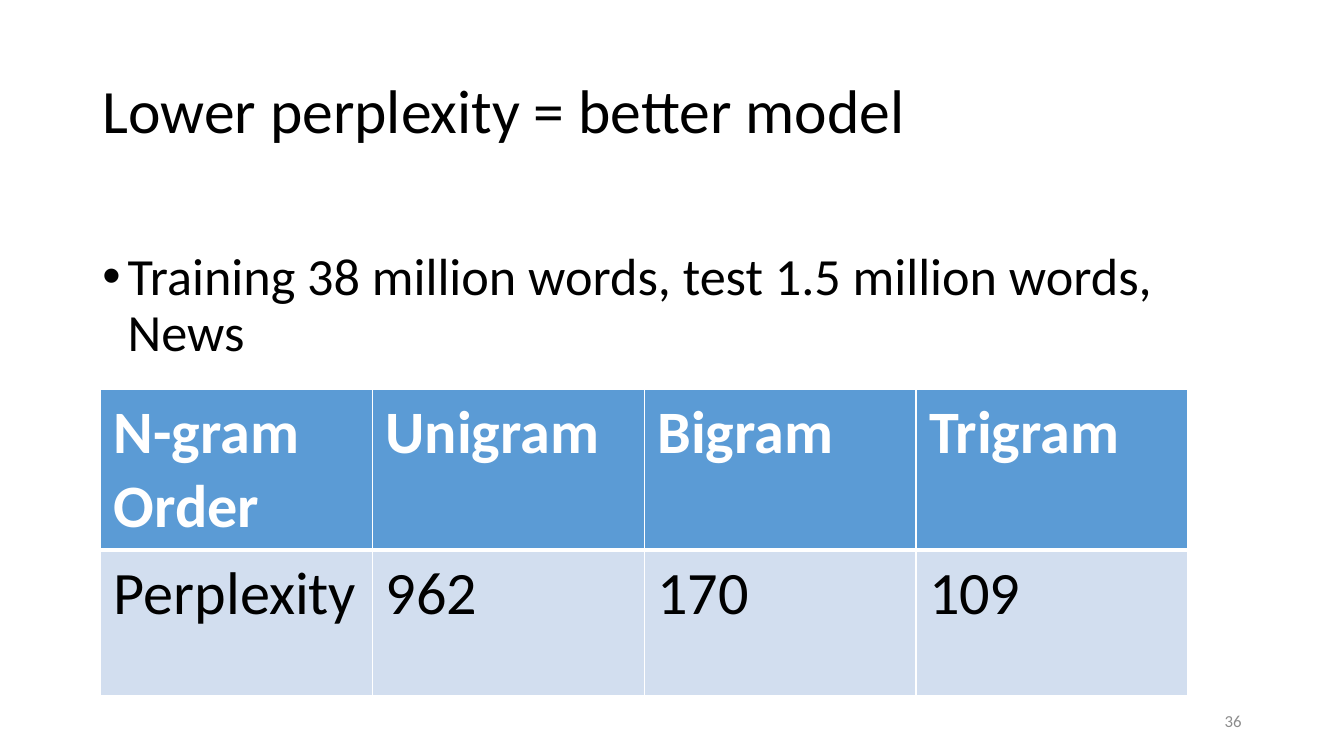
from dataclasses import dataclass

from lxml.etree import SubElement
from pptx import Presentation
from pptx.dml.color import RGBColor
from pptx.enum.text import MSO_ANCHOR, MSO_AUTO_SIZE, PP_ALIGN
from pptx.oxml.ns import qn
from pptx.util import Emu, Inches, Pt


@dataclass(frozen=True)
class Theme:
    font: str = "Calibri"
    ink: str = "000000"
    paper: str = "FFFFFF"
    muted: str = "8C8C8C"
    header: str = "5B9BD5"
    band: str = "D2DEEF"
    title_size: float = 44
    body_size: float = 37.3
    table_size: float = 43
    number_size: float = 12
    thin: float = 1
    thick: float = 3


def write(tf, text, *, theme, size, color, bold=False,
          align=PP_ALIGN.LEFT, spacing=1.0):
    """Put one formatted paragraph into a text frame."""
    tf.word_wrap = True
    p = tf.paragraphs[0]
    p.alignment, p.line_spacing, p.space_before = align, spacing, Pt(0)
    r = p.add_run()
    r.text = text
    r.font.name, r.font.size, r.font.bold = theme.font, Pt(size), bold
    r.font.color.rgb = RGBColor.from_string(color)
    return p


class Deck:
    """Holds the theme and the current slide; boxes are in grid units."""

    COLS, ROWS = 40, 30

    def __init__(self, theme):
        self.theme = theme
        self.prs = Presentation()
        self.prs.slide_width, self.prs.slide_height = Inches(13.33), Inches(7.5)
        self.s = self.prs.slides.add_slide(self.prs.slide_layouts[1])

    def box(self, left, top, width, height):
        col = self.prs.slide_width / self.COLS
        row = self.prs.slide_height / self.ROWS
        return [Emu(round(n)) for n in
                (left * col, top * row, width * col, height * row)]

    def placeholder(self, index, area, anchor):
        sp = self.s.placeholders[index]
        sp.left, sp.top, sp.width, sp.height = self.box(*area)
        sp.text_frame.auto_size = MSO_AUTO_SIZE.NONE
        sp.text_frame.vertical_anchor = anchor
        return sp.text_frame

    def title(self, text, area):
        t = self.theme
        tf = self.placeholder(0, area, MSO_ANCHOR.MIDDLE)
        write(tf, text, theme=t, size=t.title_size, color=t.ink, spacing=0.9)

    def bullet(self, text, area, top_inset):
        t = self.theme
        tf = self.placeholder(1, area, MSO_ANCHOR.TOP)
        tf.margin_top = Inches(top_inset)
        p = write(tf, text, theme=t, size=t.body_size, color=t.ink, spacing=0.9)
        pPr = p._p.get_or_add_pPr()
        indent = Inches(0.25)
        pPr.set("marL", str(indent))
        pPr.set("indent", str(-indent))
        SubElement(pPr, qn("a:buFont"), typeface="Arial")
        SubElement(pPr, qn("a:buChar"), char="•")

    def borders(self, cell, **widths):
        tcPr = cell._tc.get_or_add_tcPr()
        for i, (side, width) in enumerate(widths.items()):
            ln = SubElement(tcPr, qn(f"a:ln{side}"), w=str(Pt(width)))
            fill = SubElement(ln, qn("a:solidFill"))
            SubElement(fill, qn("a:srgbClr"), val=self.theme.paper)
            tcPr.insert(i, ln)

    def table(self, rows, area, heights):
        t = self.theme
        table = self.s.shapes.add_table(
            len(rows), len(rows[0]), *self.box(*area)).table
        for row, height in zip(table.rows, heights):
            row.height = Inches(height)
        for i, values in enumerate(rows):
            head = i == 0
            for j, value in enumerate(values):
                cell = table.cell(i, j)
                cell.margin_left = cell.margin_right = Inches(0.13)
                cell.margin_top = cell.margin_bottom = Inches(0.07)
                cell.fill.solid()
                cell.fill.fore_color.rgb = RGBColor.from_string(
                    t.header if head else t.band)
                self.borders(cell, L=t.thin, R=t.thin,
                             T=t.thin if head else t.thick,
                             B=t.thick if head else t.thin)
                write(cell.text_frame, value, theme=t, size=t.table_size,
                      color=t.paper if head else t.ink, bold=head)

    def number(self, text, area):
        t = self.theme
        tf = self.s.shapes.add_textbox(*self.box(*area)).text_frame
        tf.vertical_anchor = MSO_ANCHOR.MIDDLE
        write(tf, text, theme=t, size=t.number_size, color=t.muted,
              align=PP_ALIGN.RIGHT)


def main():
    deck = Deck(Theme())
    # Title and bullet
    deck.title("Lower perplexity = better model", (2.75, 1.6, 34.5, 5.8))
    deck.bullet("Training 38 million words, test 1.5 million words, News",
                (2.75, 8, 34.5, 19), top_inset=0.48)
    # Perplexity by model order
    deck.table([["N-gram Order", "Unigram", "Bigram", "Trigram"],
                ["Perplexity", "962", "170", "109"]],
               (3, 15.45, 32.35, 12), heights=(1.56, 1.44))
    # Slide number
    deck.number("36", (28.25, 27.8, 9, 1.6))
    deck.prs.save("out.pptx")


if __name__ == "__main__":
    main()
